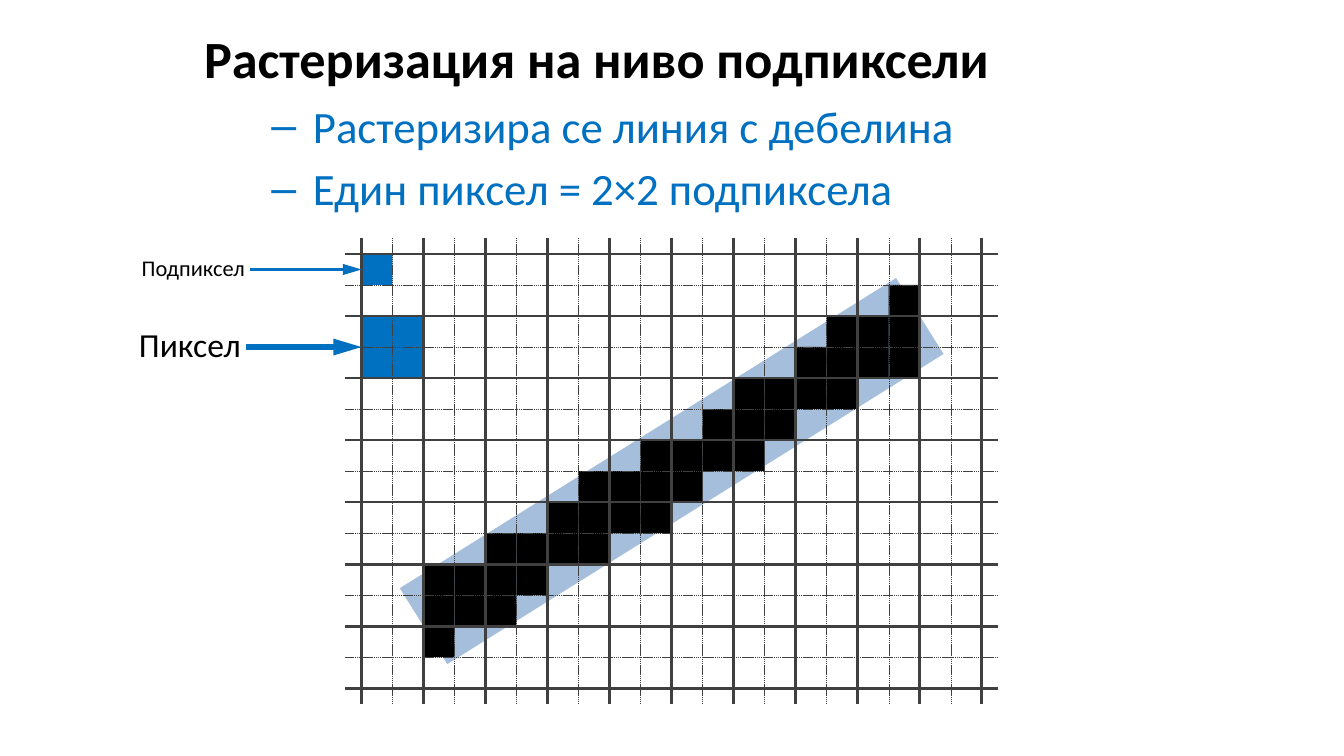
import pptx
import pptx.util
import pptx.dml.color
import pptx.enum.dml
import pptx.enum.shapes
import pptx.enum.text
import pptx.oxml.ns
import lxml.etree

Inches = pptx.util.Inches
COLORS = {"ink": "000000", "accent": "0070C0", "grid": "404040", "stroke": "4A7EBB"}
SLIDE_WIDTH = 10
CELL = 3 / 13
GRID_LEFT, GRID_TOP = 2.69, 1.89
COLUMNS, ROWS = 20, 14
OVERHANG = 0.12
COVERED = {
    1: (17, 17), 2: (15, 17), 3: (14, 17), 4: (12, 15), 5: (11, 13), 6: (9, 12),
    7: (7, 10), 8: (6, 9), 9: (4, 7), 10: (2, 5), 11: (2, 4), 12: (2, 2),
}


def rgb(name):
    return pptx.dml.color.RGBColor.from_string(COLORS[name])


def grid_x(column):
    return GRID_LEFT + column * CELL


def grid_y(row):
    return GRID_TOP + row * CELL


def add_child(parent, tag, **attributes):
    return lxml.etree.SubElement(parent, pptx.oxml.ns.qn(tag), **attributes)


def add_line(slide, start, end, color, width, dash=None, alpha=None, arrow=False):
    line = slide.shapes.add_connector(
        pptx.enum.shapes.MSO_CONNECTOR.STRAIGHT, *map(Inches, start + end))
    line.line.color.rgb = rgb(color)
    line.line.width = pptx.util.Pt(width)
    if dash:
        line.line.dash_style = dash
    outline = line.line._get_or_add_ln()
    if alpha:
        tint = outline.find(".//" + pptx.oxml.ns.qn("a:srgbClr"))
        add_child(tint, "a:alpha", val=str(alpha * 1000))
    if arrow:
        add_child(outline, "a:tailEnd", type="triangle", w="med", len="lg")
    add_child(line._element.spPr, "a:effectLst")
    return line


def add_square(slide, column, row, color, cells=1):
    square = slide.shapes.add_shape(
        pptx.enum.shapes.MSO_SHAPE.RECTANGLE, Inches(grid_x(column)),
        Inches(grid_y(row)), Inches(cells * CELL), Inches(cells * CELL))
    square.shadow.inherit = False
    square.fill.solid()
    square.fill.fore_color.rgb = rgb(color)
    square.line.fill.background()
    return square


def add_box(slide, left, top, width, height):
    frame = slide.shapes.add_textbox(*map(Inches, (left, top, width, height))).text_frame
    frame.word_wrap = True
    return frame


def write(paragraph, text, size, color="ink", bold=False, align=None, before=0, dash=False):
    if dash:
        properties = paragraph._p.get_or_add_pPr()
        properties.set("marL", str(Inches(0.81)))
        properties.set("indent", str(Inches(-0.31)))
        add_child(properties, "a:buFont", typeface="Arial")
        add_child(properties, "a:buChar", char="–")
        paragraph.level = 1
    paragraph.alignment = align
    paragraph.space_before = pptx.util.Pt(before)
    run = paragraph.add_run()
    run.text = text
    run.font.name = "Calibri"
    run.font.size = pptx.util.Pt(size)
    run.font.bold = bold
    run.font.color.rgb = rgb(color)


def add_heading(slide):
    frame = add_box(slide, 1.42, 0.15, 8.58, 5.17)
    write(frame.paragraphs[0], "Растеризация на ниво подпиксели", 28, bold=True)
    for point in ("Растеризира се линия с дебелина", "Един пиксел = 2×2 подпиксела"):
        write(frame.add_paragraph(), point, 24, color="accent", before=4.8, dash=True)


def add_grid(slide):
    left, right = GRID_LEFT - OVERHANG, grid_x(COLUMNS) + OVERHANG
    top, bottom = GRID_TOP - OVERHANG, grid_y(ROWS) + OVERHANG
    dashed = pptx.enum.dml.MSO_LINE.SQUARE_DOT
    for first, width, dash in ((0, 1.5, None), (1, 0.25, dashed)):
        for row in range(first, ROWS + 1, 2):
            y = grid_y(row)
            add_line(slide, (left, y), (right, y), "grid", width, dash)
        for column in range(first, COLUMNS + 1, 2):
            x = grid_x(column)
            add_line(slide, (x, top), (x, bottom), "grid", width, dash)


def add_label(slide, text, size, box, arrow_left, arrow_width, target, middle):
    write(add_box(slide, *box).paragraphs[0], text, size,
          align=pptx.enum.text.PP_ALIGN.RIGHT)
    arrow = add_line(slide, (arrow_left, middle), (GRID_LEFT, middle),
                     "accent", arrow_width, arrow=True)
    arrow.end_connect(target, 1)


def main():
    presentation = pptx.Presentation()
    presentation.slide_width = Inches(SLIDE_WIDTH)
    presentation.slide_height = Inches(SLIDE_WIDTH * 9 / 16)
    slide = presentation.slides.add_slide(presentation.slide_layouts[6])

    add_line(slide, (grid_x(2), grid_y(12)), (grid_x(18), grid_y(2)), "stroke", 48, alpha=50)
    for row, (first, last) in COVERED.items():
        for column in range(first, last + 1):
            add_square(slide, column, row, "ink")
    pixel = add_square(slide, 0, 2, "accent", cells=2)
    subpixel = add_square(slide, 0, 0, "accent")

    add_heading(slide)
    add_grid(slide)
    add_label(slide, "Пиксел", 18, (0.66, 2.36, 1.23, 0.4), 1.83, 3, pixel, grid_y(3))
    add_label(slide, "Подпиксел", 12, (0.5, 1.84, 1.42, 0.3), 1.86, 1.5, subpixel, grid_y(0.5))
    presentation.save("out.pptx")


if __name__ == "__main__":
    main()
